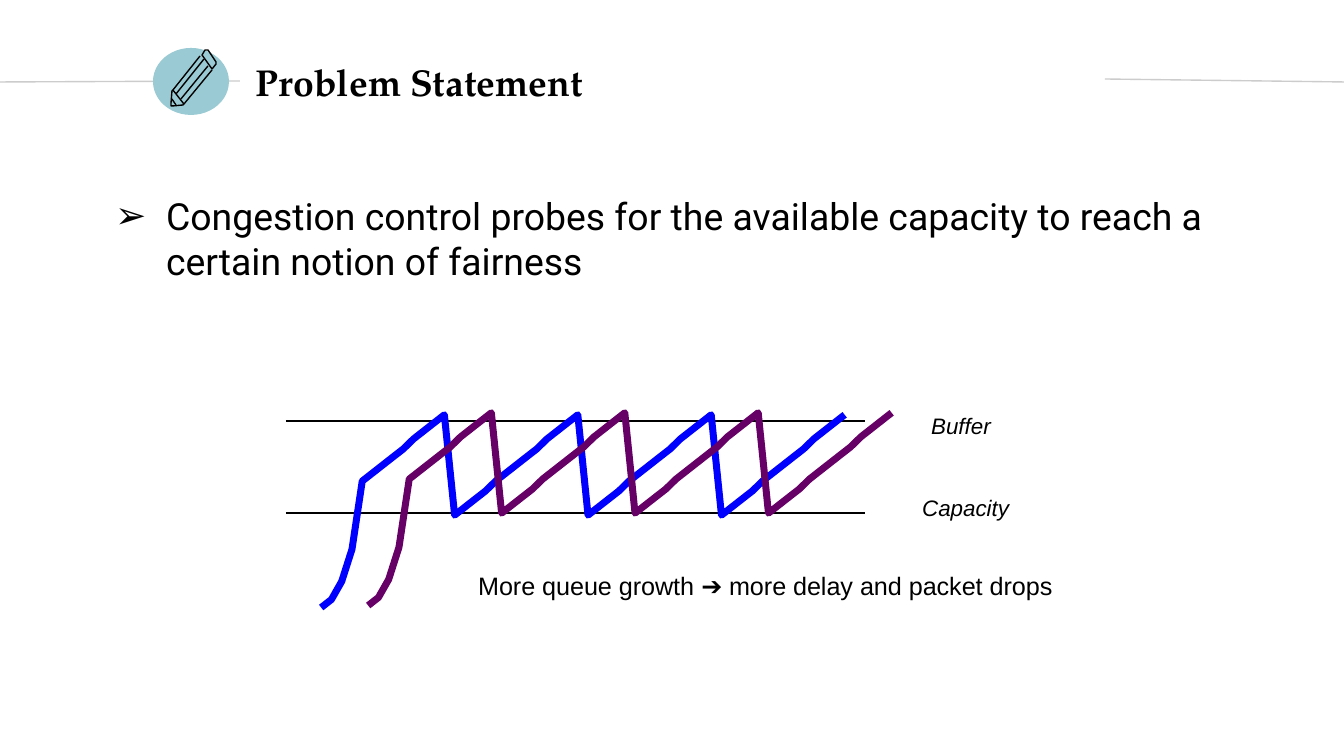
from lxml import etree
from pptx import Presentation
from pptx.chart.data import CategoryChartData
from pptx.dml.color import RGBColor
from pptx.enum.chart import XL_CHART_TYPE as Kind, XL_MARKER_STYLE as Mark
from pptx.enum.shapes import MSO_CONNECTOR as Conn, MSO_SHAPE as Shape
from pptx.enum.text import MSO_ANCHOR as Anchor, MSO_AUTO_SIZE as Fit, PP_ALIGN as Align
from pptx.oxml import parse_xml
from pptx.oxml.ns import nsdecls, qn
from pptx.util import Pt

PX = 914400 / 134.4

# Content
TITLE = "Problem Statement"
POINT = ("Congestion control probes for the available capacity "
         "to reach a certain notion of fairness")

# Sending rate: slow start, then a sawtooth that halves at each loss
START = [4, 8, 17, 33]
CLIMB = [67, 71, 75, 79, 83, 88, 92, 96, 100]
TOOTH = [50, 54, 58, 62] + CLIMB
RATES = START + CLIMB + TOOTH * 3

FLOWS = [((305, 359), "0000FF"), ((352, 357), "660066")]
FLOW_SIZE = (556, 262)
PLOT = {"x": 0.02, "y": 0.06, "w": 0.96, "h": 0.92}

# Lines: x1, y1, x2, y2, colour
LEVELS = [(286, 513, 865, 513, "000000"), (286, 421, 865, 421, "000000")]
RULES = [(0, 82, 240, 81, "CCCCCC"), (1105, 79, 1344, 82, "CCCCCC")]

# Labels: text, box, size, italic, wrap
LABELS = [
    ("Capacity", (909, 488, 114, 40), 12, True, False),
    ("Buffer", (918, 406, 87, 40), 12, True, False),
    ("More queue growth ➔ more delay and packet drops",
     (465, 564, 612, 44), 13.5, False, True),
]

# Pencil strokes: points, closed
PENCIL = [
    ([(216, 62), (208, 50), (205, 50), (202, 55), (212, 69), (216, 64)], True),
    ([(208, 66), (181, 99)], False),
    ([(200, 56), (173, 90), (172, 91), (171, 103), (171, 106),
      (173, 106), (183, 105), (184, 104), (212, 70)], False),
    ([(176, 94), (204, 59)], False),
    ([(176, 105), (172, 99)], False),
    ([(173, 90), (184, 104)], False),
]


def emu(*vals):
    return [round(v * PX) for v in vals]


def rgb(code):
    return RGBColor.from_string(code)


def style(font, name, size, bold=False, italic=False):
    font.name, font.size = name, Pt(size)
    font.bold, font.italic = bold, italic
    font.color.rgb = rgb("000000")


def place(shape, box):
    shape.left, shape.top, shape.width, shape.height = emu(*box)


def frame(shape, anchor):
    text = shape.text_frame
    text.auto_size, text.word_wrap = Fit.NONE, True
    text.vertical_anchor = anchor
    text.margin_left = text.margin_right = emu(13)[0]
    text.margin_top = text.margin_bottom = emu(13)[0]
    return text


def rule(x1, y1, x2, y2, color):
    line = slide.shapes.add_connector(Conn.STRAIGHT, *emu(x1, y1, x2, y2))
    line.line.color.rgb, line.line.width = rgb(color), Pt(0.75)
    etree.SubElement(line._element.spPr, qn("a:effectLst"))


def label(text, box, size, italic, wrap):
    area = slide.shapes.add_textbox(*emu(*box)).text_frame
    area.word_wrap = wrap
    area.text = text
    style(area.paragraphs[0].runs[0].font, "Arial", size, italic=italic)


def flow(spot, color):
    data = CategoryChartData()
    data.categories = [str(i + 1) for i in range(len(RATES))]
    data.add_series("Series 1", RATES)
    chart = slide.shapes.add_chart(
        Kind.LINE, *emu(*spot, *FLOW_SIZE), data).chart
    chart.has_legend = chart.has_title = False
    style(chart.font, "Arial", 10)
    axis = chart.value_axis
    axis.minimum_scale, axis.maximum_scale = 0, 120
    axis.has_major_gridlines = False
    axis.visible = chart.category_axis.visible = False
    plot = chart.plots[0]
    plot.vary_by_categories = False
    series = plot.series[0]
    series.smooth = False
    series.marker.style = Mark.NONE
    series.format.line.color.rgb = rgb(color)
    series.format.line.width = Pt(3.75)
    # Fixed plot area, so both flows share one scale
    area = chart._chartSpace.chart.plotArea
    for old in area.findall(qn("c:layout")):
        area.remove(old)
    parts = "".join(f'<c:{k}Mode val="edge"/>' for k in "xy")
    parts += "".join(f'<c:{k} val="{v}"/>' for k, v in PLOT.items())
    area.insert(0, parse_xml(
        f'<c:layout {nsdecls("c")}><c:manualLayout>'
        f'<c:layoutTarget val="inner"/>{parts}</c:manualLayout></c:layout>'))


deck = Presentation()
deck.slide_width, deck.slide_height = emu(1344, 756)
slide = deck.slides.add_slide(deck.slide_layouts[1])
title, body = slide.placeholders

# Title
place(title, (243, 50, 655, 64))
text = frame(title, Anchor.MIDDLE)
text.text = TITLE
text.paragraphs[0].alignment = Align.LEFT
style(text.paragraphs[0].runs[0].font, "TeX Gyre Pagella", 20, bold=True)

# Bulleted point
place(body, (102, 180, 1183, 200))
text = frame(body, Anchor.TOP)
text.text = POINT
para = text.paragraphs[0]
para.level, para.space_before = 1, Pt(0)
props = para._p.get_or_add_pPr()
indent = emu(51)[0]
props.set("marL", str(indent))
props.set("indent", str(-indent))
color = etree.SubElement(props, qn("a:buClr"))
etree.SubElement(color, qn("a:srgbClr"), val="000000")
etree.SubElement(props, qn("a:buFont"), typeface="Arial")
etree.SubElement(props, qn("a:buChar"), char="➢")
style(para.runs[0].font, "Roboto", 20)

# Sawtooth diagram
for level in LEVELS:
    rule(*level)
for item in FLOWS:
    flow(*item)
for item in LABELS:
    label(*item)

# Header rules and badge
for item in RULES:
    rule(*item)
badge = slide.shapes.add_shape(Shape.OVAL, *emu(153, 48, 76, 67))
badge.shadow.inherit = False
badge.fill.solid()
badge.fill.fore_color.rgb = rgb("9ACAD3")
badge.line.fill.background()

# Pencil icon
icon = slide.shapes.add_group_shape()
for points, closed in PENCIL:
    pen = icon.shapes.build_freeform(*points[0], scale=PX)
    pen.add_line_segments(points[1:], close=closed)
    stroke = pen.convert_to_shape()
    stroke.shadow.inherit = False
    stroke.fill.background()
    stroke.line.color.rgb, stroke.line.width = rgb("000000"), Pt(0.75)

deck.save("out.pptx")
